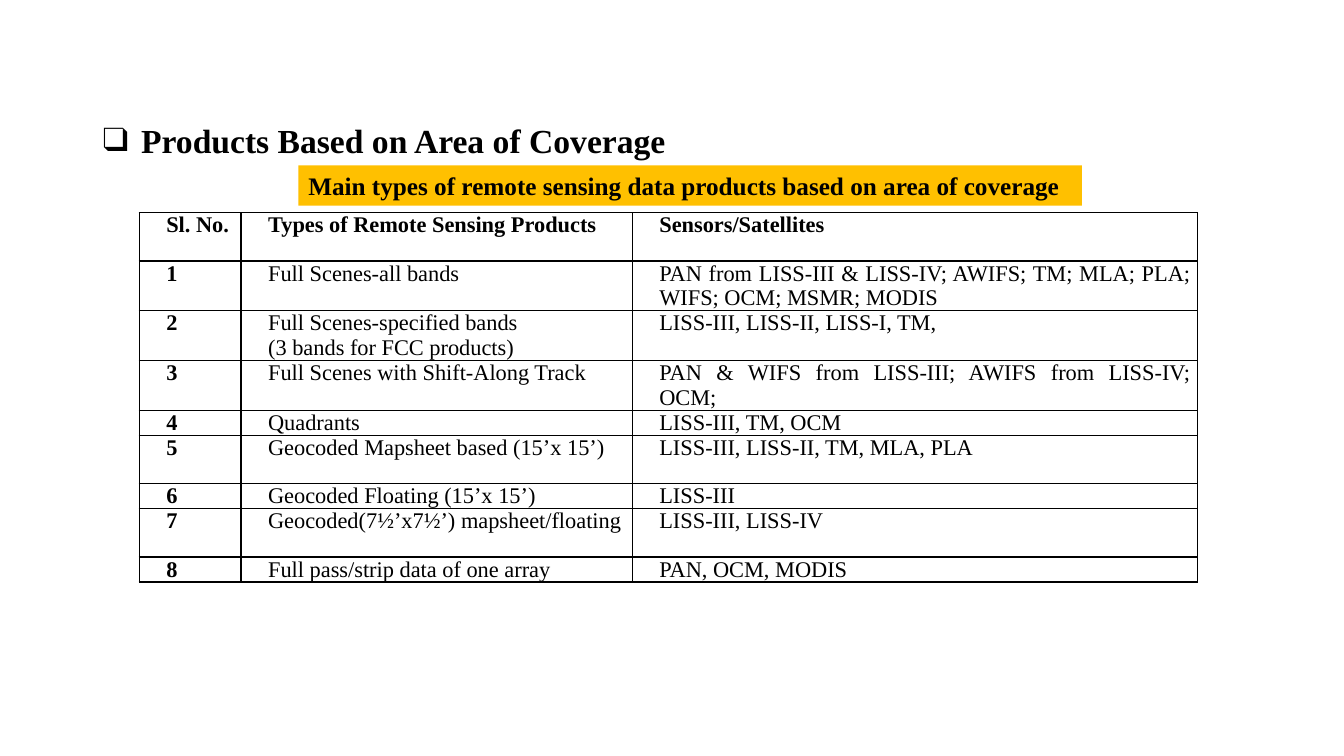
from typing import NamedTuple

from lxml import etree
from pptx import Presentation
from pptx import util as u
from pptx.dml.color import RGBColor
from pptx.enum import shapes, text
from pptx.oxml import ns

BLACK = RGBColor(0x00, 0x00, 0x00)
AMBER = RGBColor(0xFF, 0xC0, 0x00)
FONT = "Times New Roman"
COLUMN_WIDTHS = (1.01, 3.88, 5.61)
LINE_HEIGHT = 0.24


class Product(NamedTuple):
    number: str
    kind: str
    sensors: str
    lines: int = 2


HEADINGS = Product("Sl. No.", "Types of Remote Sensing Products", "Sensors/Satellites")
PRODUCTS = (
    Product("1", "Full Scenes-all bands",
            "PAN from LISS-III & LISS-IV; AWIFS; TM; MLA; PLA; WIFS; OCM; MSMR; MODIS"),
    Product("2", "Full Scenes-specified bands\n(3 bands for FCC products)",
            "LISS-III, LISS-II, LISS-I, TM,"),
    Product("3", "Full Scenes with Shift-Along Track",
            "PAN & WIFS from LISS-III; AWIFS from LISS-IV; OCM;"),
    Product("4", "Quadrants", "LISS-III, TM, OCM", 1),
    Product("5", "Geocoded Mapsheet based (15’x 15’)", "LISS-III, LISS-II, TM, MLA, PLA"),
    Product("6", "Geocoded Floating (15’x 15’)", "LISS-III", 1),
    Product("7", "Geocoded(7½’x7½’) mapsheet/floating", "LISS-III, LISS-IV"),
    Product("8", "Full pass/strip data of one array", "PAN, OCM, MODIS", 1),
)


def format_runs(paragraph, size: int, bold: bool) -> None:
    for run in paragraph.runs:
        run.font.name = FONT
        run.font.size = u.Pt(size)
        run.font.bold = bold
        run.font.color.rgb = BLACK


def set_indent(paragraph, left: float, first: float = 0) -> None:
    properties = paragraph._p.get_or_add_pPr()
    properties.set("marL", str(u.Inches(left)))
    properties.set("indent", str(u.Inches(first)))


def draw_borders(cell) -> None:
    properties = cell._tc.get_or_add_tcPr()
    for index, side in enumerate(("lnL", "lnR", "lnT", "lnB")):
        line = etree.Element(ns.qn(f"a:{side}"), w=str(u.Pt(1)))
        fill = etree.SubElement(line, ns.qn("a:solidFill"))
        etree.SubElement(fill, ns.qn("a:srgbClr"), val=str(BLACK))
        properties.insert(index, line)


def fill_cell(cell, wording: str, bold: bool) -> None:
    cell.text_frame.text = wording
    cell.margin_left = cell.margin_right = u.Inches(0.07)
    cell.margin_top = cell.margin_bottom = 0
    cell.fill.background()
    draw_borders(cell)
    for paragraph in cell.text_frame.paragraphs:
        paragraph.alignment = text.PP_ALIGN.JUSTIFY
        set_indent(paragraph, 0.2)
        format_runs(paragraph, 16, bold)


def add_heading(slide) -> None:
    heading = slide.shapes.title
    heading.left, heading.top = u.Inches(0.92), u.Inches(1.14)
    heading.width, heading.height = u.Inches(6.31), u.Inches(0.5)
    frame = heading.text_frame
    frame.text = "Products Based on Area of Coverage"
    frame.auto_size = text.MSO_AUTO_SIZE.NONE
    frame.vertical_anchor = text.MSO_ANCHOR.TOP
    paragraph = frame.paragraphs[0]
    paragraph.alignment = text.PP_ALIGN.LEFT
    set_indent(paragraph, 0.38, -0.38)
    properties = paragraph._p.get_or_add_pPr()
    etree.SubElement(properties, ns.qn("a:buFont"), typeface=FONT)
    etree.SubElement(properties, ns.qn("a:buChar"), char="❑")
    format_runs(paragraph, 24, True)


def add_products(slide) -> None:
    rows = (HEADINGS, *PRODUCTS)
    height = LINE_HEIGHT * sum(row.lines for row in rows)
    table = slide.shapes.add_table(
        len(rows), len(COLUMN_WIDTHS), u.Inches(1.38), u.Inches(2.11),
        u.Inches(sum(COLUMN_WIDTHS)), u.Inches(height)).table
    table.first_row = table.horz_banding = False
    for column, width in zip(table.columns, COLUMN_WIDTHS):
        column.width = u.Inches(width)
    for row_index, product in enumerate(rows):
        table.rows[row_index].height = u.Inches(LINE_HEIGHT * product.lines)
        wordings = (product.number, product.kind, product.sensors)
        for column_index, wording in enumerate(wordings):
            bold = row_index == 0 or column_index == 0
            fill_cell(table.cell(row_index, column_index), wording, bold)


def add_caption(slide) -> None:
    caption = slide.shapes.add_shape(
        shapes.MSO_SHAPE.RECTANGLE,
        u.Inches(2.96), u.Inches(1.64), u.Inches(7.77), u.Inches(0.4))
    caption.shadow.inherit = False
    caption.fill.solid()
    caption.fill.fore_color.rgb = AMBER
    caption.line.fill.background()
    frame = caption.text_frame
    frame.text = "Main types of remote sensing data products based on area of coverage"
    frame.word_wrap = True
    frame.vertical_anchor = text.MSO_ANCHOR.TOP
    frame.paragraphs[0].alignment = text.PP_ALIGN.LEFT
    format_runs(frame.paragraphs[0], 18, True)


def main() -> None:
    deck = Presentation()
    deck.slide_width, deck.slide_height = u.Inches(13.33), u.Inches(7.5)
    slide = deck.slides.add_slide(deck.slide_layouts[5])
    add_heading(slide)
    add_products(slide)
    add_caption(slide)
    deck.save("out.pptx")


if __name__ == "__main__":
    main()
